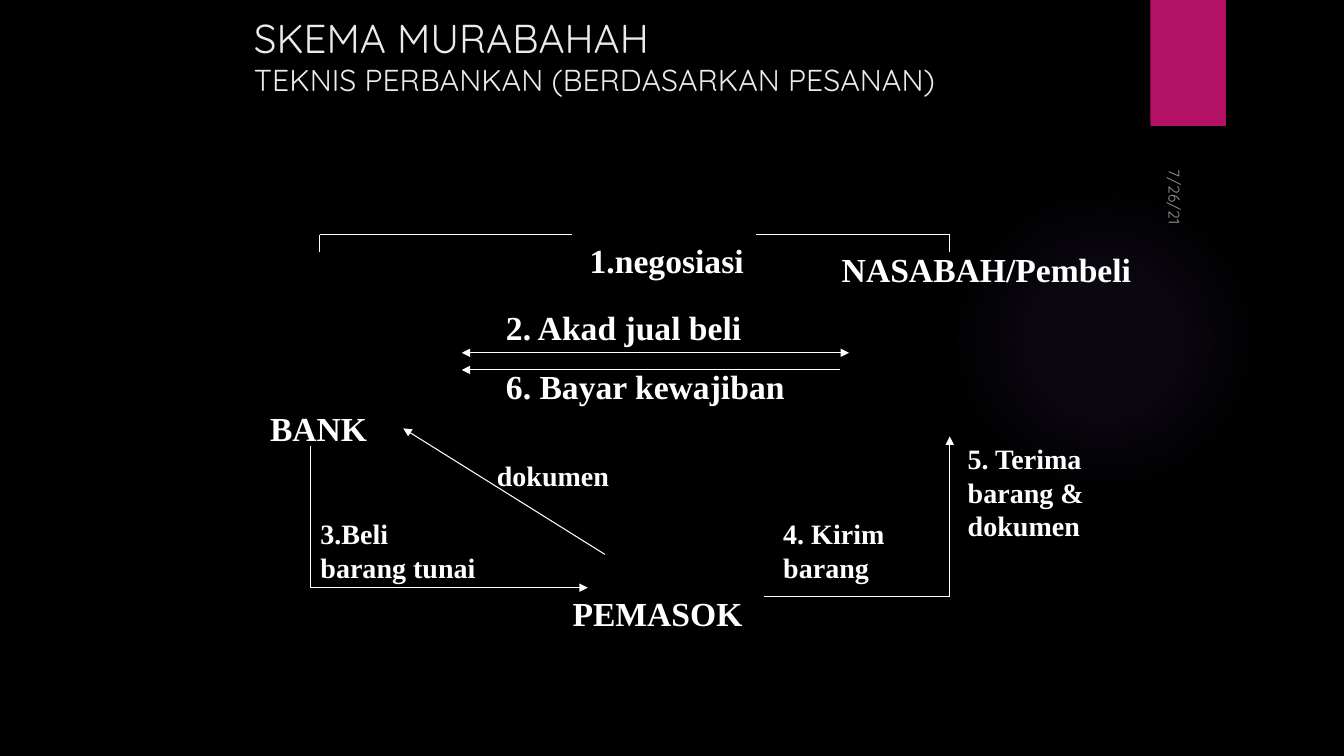
from typing import NamedTuple

from lxml.etree import SubElement
from pptx import Presentation
from pptx.dml.color import RGBColor
from pptx.enum.shapes import MSO_CONNECTOR as CONN, MSO_SHAPE as SHAPE
from pptx.enum.text import MSO_ANCHOR as ANCHOR
from pptx.oxml import parse_xml
from pptx.oxml.ns import nsdecls, qn
from pptx.util import Inches, Pt

BLACK = RGBColor(0x00, 0x00, 0x00)
WHITE = RGBColor(0xFF, 0xFF, 0xFF)
TITLE_GREY = RGBColor(0xEB, 0xEB, 0xEB)
MAGENTA = RGBColor(0xB3, 0x11, 0x66)
VIOLET = RGBColor(0x9B, 0x6B, 0xF2)
HEADING_FONT = "Quicksand"
BODY_FONT = "Times New Roman"


class Label(NamedTuple):
    text: str
    left: float
    top: float
    width: float
    height: float = 0.5
    size: int = 24


class Line(NamedTuple):
    x1: float
    y1: float
    x2: float
    y2: float
    head: bool = False
    tail: bool = False


LABELS = [
    Label("BANK", 2.58, 4, 1.17),
    Label("NASABAH/Pembeli", 8.25, 2.42, 3.42),
    Label("PEMASOK", 5.58, 5.83, 2.08),
    Label("1.negosiasi", 5.75, 2.33, 1.92),
    Label("2. Akad jual beli", 4.92, 3, 2.75),
    Label("6. Bayar kewajiban", 4.92, 3.58, 3.25),
    Label("3.Beli\vbarang tunai", 3.08, 5.08, 1.75, 0.77, 20),
    Label("4. Kirim barang", 7.67, 5.08, 1.33, 0.77, 20),
    Label("5. Terima barang & dokumen", 9.5, 4.33, 1.67, 1.1, 20),
    Label("dokumen", 4.83, 4.5, 1.33, 0.43, 20),
]

LINES = [
    Line(8.42, 3.5, 4.58, 3.5, head=True, tail=True),
    Line(8.33, 3.67, 4.58, 3.67, tail=True),
    Line(3.08, 4.42, 3.08, 5.83),
    Line(3.08, 5.83, 5.83, 5.83, tail=True),
    Line(7.58, 5.92, 9.42, 5.92),
    Line(9.42, 5.92, 9.42, 4.33, tail=True),
    Line(3.17, 2.33, 5.67, 2.33),
    Line(7.5, 2.33, 9.42, 2.33),
    Line(3.17, 2.33, 3.17, 2.5),
    Line(9.42, 2.33, 9.42, 2.5),
    Line(6, 5.5, 4, 4.25, tail=True),
]


def add_text_box(s, left: float, top: float, width: float, height: float):
    box = s.shapes.add_textbox(*map(Inches, (left, top, width, height)))
    box.text_frame.word_wrap = True
    return box


def style_font(font, name: str, size: float, color: RGBColor, bold: bool = False) -> None:
    font.name = name
    font.size = Pt(size)
    font.color.rgb = color
    font.bold = bold


def add_label(s, label: Label) -> None:
    box = add_text_box(s, label.left, label.top, label.width, label.height)
    p = box.text_frame.paragraphs[0]
    p.text = label.text
    style_font(p.font, BODY_FONT, label.size, WHITE, bold=True)


def add_line(s, line: Line) -> None:
    connector = s.shapes.add_connector(
        CONN.STRAIGHT, *map(Inches, (line.x1, line.y1, line.x2, line.y2))
    )
    connector.line.color.rgb = WHITE
    connector.line.width = Pt(0.75)
    sp_pr = connector._element.spPr
    ln = sp_pr.find(qn("a:ln"))
    for shown, tag in ((line.head, "a:headEnd"), (line.tail, "a:tailEnd")):
        if shown:
            SubElement(ln, qn(tag), type="triangle")
    SubElement(sp_pr, qn("a:effectLst"))


def add_plain_shape(s, kind: SHAPE, left: float, top: float, width: float, height: float):
    sp = s.shapes.add_shape(kind, *map(Inches, (left, top, width, height)))
    sp.shadow.inherit = False
    sp.line.fill.background()
    return sp


def add_glow(s) -> None:
    glow = add_plain_shape(s, SHAPE.OVAL, 9.41, 1.83, 3.08, 3.08)
    stops = "".join(
        f'<a:gs pos="{pos * 1000}"><a:srgbClr val="{VIOLET}">'
        f'<a:alpha val="{alpha * 1000}"/></a:srgbClr></a:gs>'
        for pos, alpha in ((0, 7), (36, 6), (69, 0))
    )
    gradient = parse_xml(
        f'<a:gradFill {nsdecls("a")}><a:gsLst>{stops}</a:gsLst><a:path path="circle">'
        '<a:fillToRect l="50000" t="50000" r="50000" b="50000"/></a:path></a:gradFill>'
    )
    glow._element.spPr.find(qn("a:prstGeom")).addnext(gradient)


def add_title(s) -> None:
    p = add_text_box(s, 2.42, 0.08, 8.5, 1).text_frame.paragraphs[0]
    for text, size in (
        ("SKEMA MURABAHAH", 28.8),
        ("TEKNIS PERBANKAN (BERDASARKAN PESANAN)", 21.6),
    ):
        if p.runs:
            p.add_line_break()
        r = p.add_run()
        r.text = text
        style_font(r.font, HEADING_FONT, size, TITLE_GREY)


def add_date(s) -> None:
    box = add_text_box(s, 11.11, 1.96, 1.08, 0.33)
    box.rotation = 90
    tf = box.text_frame
    tf.vertical_anchor = ANCHOR.MIDDLE
    r = tf.paragraphs[0].add_run()
    r.text = "7/26/21"
    style_font(r.font, HEADING_FONT, 11, WHITE)
    color = r._r.rPr.find(f'{qn("a:solidFill")}/{qn("a:srgbClr")}')
    SubElement(color, qn("a:alpha"), val="60000")


def main() -> None:
    prs = Presentation()
    prs.slide_width, prs.slide_height = Inches(13.33), Inches(7.5)
    s = prs.slides.add_slide(prs.slide_layouts[6])
    s.background.fill.solid()
    s.background.fill.fore_color.rgb = BLACK
    add_glow(s)
    tab = add_plain_shape(s, SHAPE.RECTANGLE, 11.41, 0, 0.75, 1.25)
    tab.fill.solid()
    tab.fill.fore_color.rgb = MAGENTA
    add_title(s)
    for label in LABELS:
        add_label(s, label)
    for line in LINES:
        add_line(s, line)
    add_date(s)
    prs.save("out.pptx")


if __name__ == "__main__":
    main()
